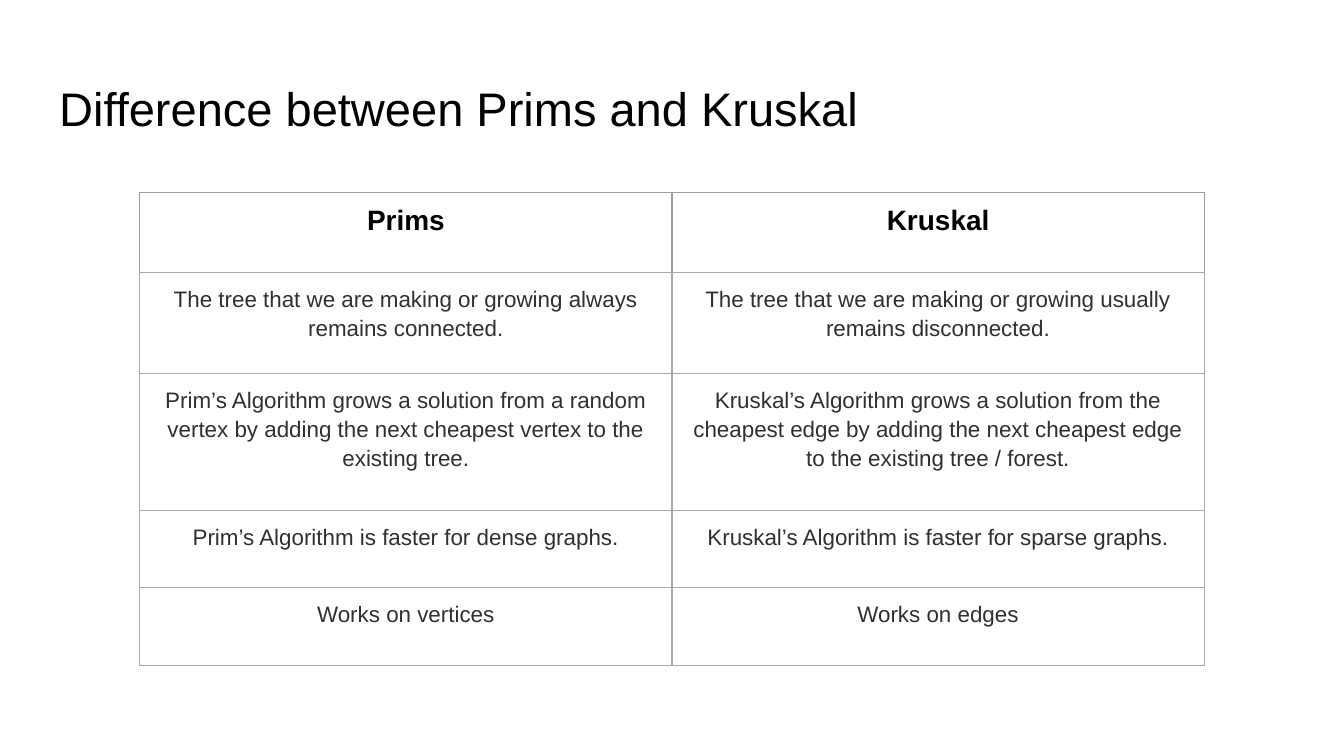
from dataclasses import dataclass

from lxml.etree import SubElement
from pptx import Presentation
from pptx.dml.color import RGBColor as Color
from pptx.enum.text import MSO_ANCHOR as Anchor, MSO_AUTO_SIZE as AutoSize, PP_ALIGN as Align
from pptx.oxml.ns import qn
from pptx.util import Inches, Pt


@dataclass(frozen=True)
class Theme:
    font: str = "Arial"
    paper: str = "FFFFFF"
    ink: str = "000000"
    body_ink: str = "303030"
    head_line: str = "9E9E9E"
    body_line: str = "AAAAAA"
    line_width: float = 0.75
    title_size: float = 25.2
    head_size: float = 15
    body_size: float = 12


THEME = Theme()
WIDTH = 10
HEIGHT = WIDTH * 9 / 16
TITLE_BOX = (0.34, 0.49, 9.32, 0.63)
ROW_HEIGHTS = (0.6, 0.75, 1.02, 0.57, 0.58)
TABLE_BOX = (1.04, 1.43, 7.92, sum(ROW_HEIGHTS))

COMPARISON = [
    ("Prims", "Kruskal"),
    ("The tree that we are making or growing always remains connected.",
     "The tree that we are making or growing usually remains disconnected."),
    ("Prim’s Algorithm grows a solution from a random vertex by adding the next "
     "cheapest vertex to the existing tree.",
     "Kruskal’s Algorithm grows a solution from the cheapest edge by adding the next "
     "cheapest edge to the existing tree / forest."),
    ("Prim’s Algorithm is faster for dense graphs.",
     "Kruskal’s Algorithm is faster for sparse graphs."),
    ("Works on vertices", "Works on edges"),
]


def apply(target, values):
    for name, value in values.items():
        setattr(target, name, value)


def write(frame, text, size, color, bold=False, **para_format):
    """Put one formatted paragraph in a text frame."""
    frame.text = text
    para = frame.paragraphs[0]
    apply(para, para_format)
    span = para.runs[0]
    apply(span.font, {"name": THEME.font, "size": Pt(size), "bold": bold})
    span.font.color.rgb = Color.from_string(color)


def margins(side, end):
    return {"margin_left": Inches(side), "margin_right": Inches(side),
            "margin_top": Inches(end), "margin_bottom": Inches(end)}


def draw_borders(cell, colors):
    """Draw the cell's edges, with one colour for each of L, R, T, B."""
    props = cell._tc.get_or_add_tcPr()
    for side, color in zip("LRTB", colors):
        line = SubElement(props, qn(f"a:ln{side}"), w=str(Pt(THEME.line_width)))
        fill = SubElement(line, qn("a:solidFill"))
        SubElement(fill, qn("a:srgbClr"), val=color)


def place_title(page, box, text):
    title = page.shapes.title
    apply(title, dict(zip(("left", "top", "width", "height"), map(Inches, box))))
    frame = title.text_frame
    apply(frame, {**margins(0.1, 0.1), "word_wrap": True,
                  "auto_size": AutoSize.NONE, "vertical_anchor": Anchor.TOP})
    write(frame, text, THEME.title_size, THEME.ink, alignment=Align.LEFT)


def place_table(page, box, rows):
    column_count = len(rows[0])
    table = page.shapes.add_table(len(rows), column_count, *map(Inches, box)).table
    apply(table, {"first_row": False, "horz_banding": False})
    for column in table.columns:
        column.width = Inches(box[2] / column_count)

    for r, (texts, height) in enumerate(zip(rows, ROW_HEIGHTS)):
        table.rows[r].height = Inches(height)
        is_head = r == 0
        for c, text in enumerate(texts):
            cell = table.cell(r, c)
            edge = THEME.head_line if is_head else THEME.body_line
            draw_borders(cell, (edge, edge, edge, THEME.body_line))
            cell.fill.background()
            apply(cell, {**margins(0.1, 0.1 if is_head else 0.08),
                         "vertical_anchor": Anchor.TOP})
            if is_head:
                write(cell.text_frame, text, THEME.head_size, THEME.ink, bold=True,
                      alignment=Align.CENTER)
            else:
                write(cell.text_frame, text, THEME.body_size, THEME.body_ink,
                      alignment=Align.CENTER, line_spacing=1.15)


def main():
    deck = Presentation()
    apply(deck, {"slide_width": Inches(WIDTH), "slide_height": Inches(HEIGHT)})
    page = deck.slides.add_slide(deck.slide_layouts[5])  # Title Only
    page.background.fill.solid()
    page.background.fill.fore_color.rgb = Color.from_string(THEME.paper)

    place_title(page, TITLE_BOX, "Difference between Prims and Kruskal")
    place_table(page, TABLE_BOX, COMPARISON)
    deck.save("out.pptx")


if __name__ == "__main__":
    main()
